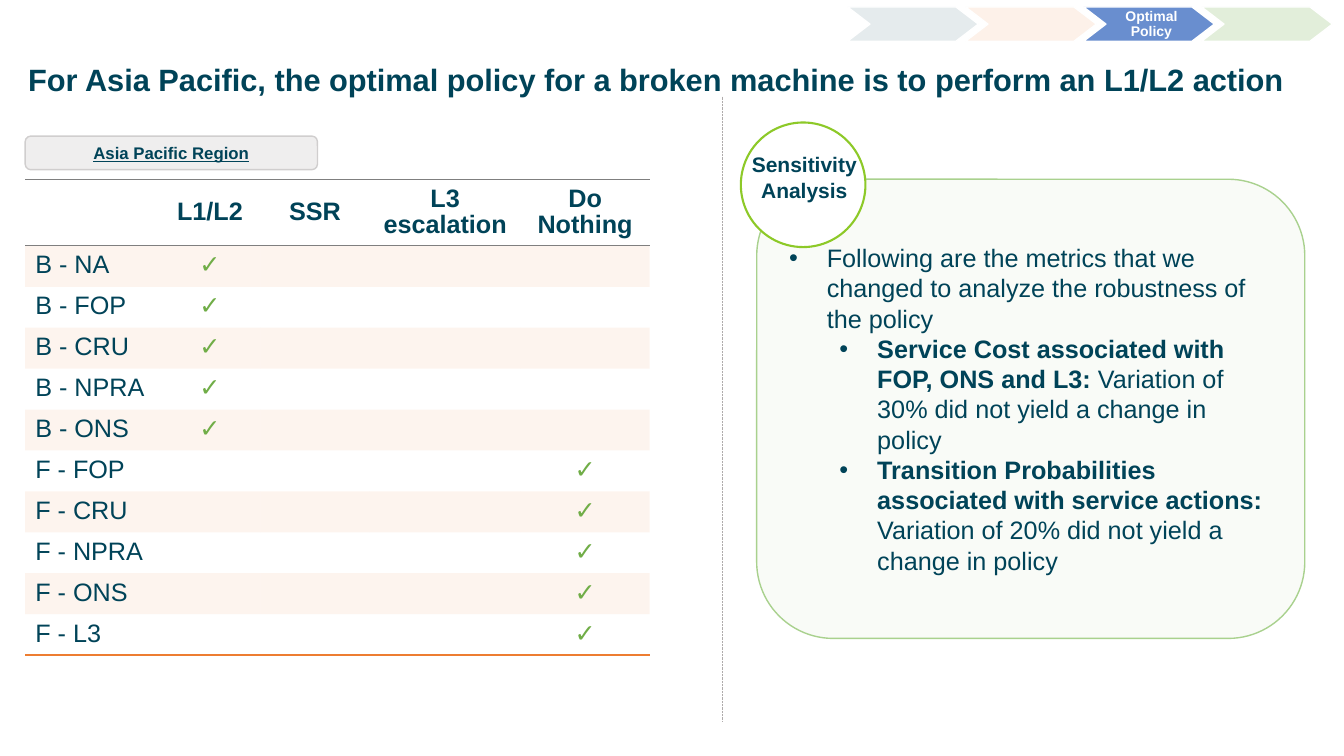
from lxml import etree
from pptx import Presentation
from pptx.dml.color import RGBColor
from pptx.enum.dml import MSO_LINE
from pptx.enum.shapes import MSO_CONNECTOR, MSO_SHAPE
from pptx.enum.text import MSO_ANCHOR, PP_ALIGN
from pptx.oxml import parse_xml
from pptx.oxml.ns import nsdecls, qn
from pptx.util import Pt

LEFT, CENTER = PP_ALIGN.LEFT, PP_ALIGN.CENTER
MIDDLE = MSO_ANCHOR.MIDDLE
ROUNDED, OVAL = MSO_SHAPE.ROUNDED_RECTANGLE, MSO_SHAPE.OVAL
STRAIGHT = MSO_CONNECTOR.STRAIGHT
DOTTED = MSO_LINE.ROUND_DOT
WHITE = RGBColor(0xFF, 0xFF, 0xFF)
NAVY = RGBColor(0x00, 0x43, 0x58)
ORANGE = RGBColor(0xED, 0x7D, 0x31)
BLUE = RGBColor(0x44, 0x72, 0xC4)
GREEN = RGBColor(0x70, 0xAD, 0x47)
LIME = RGBColor(0x8D, 0xC9, 0x28)
PEACH = RGBColor(0xF8, 0xCB, 0xAD)
GRAY = RGBColor(0xAF, 0xAB, 0xAB)
RULE_GRAY = RGBColor(0x7F, 0x7F, 0x7F)
EDGE_GRAY = RGBColor(0xD0, 0xCE, 0xCE)
PALE_GREEN = RGBColor(0xC5, 0xE0, 0xB4)
EDGE_GREEN = RGBColor(0xA9, 0xD1, 0x8E)
PLAIN_TABLE = "{2D5ABB26-0587-4C30-8999-92F81FD0307C}"


def tint(fill, color, percent):
    fill.solid()
    fill.fore_color.rgb = color
    tone = fill._xPr.find(qn("a:solidFill")).find(qn("a:srgbClr"))
    etree.SubElement(tone, qn("a:alpha")).set("val", str(percent * 1000))


def style(para, size, color=NAVY, bold=True, align=CENTER):
    para.alignment = align
    para.font.name = "Arial"
    para.font.size = Pt(size)
    para.font.color.rgb = color
    para.font.bold = bold


deck = Presentation()
deck.slide_width, deck.slide_height = Pt(960), Pt(540)
page = deck.slides.add_slide(deck.slide_layouts[6])
shapes = page.shapes

STEPS = [("", NAVY, 10), ("", ORANGE, 10), ("Optimal Policy", BLUE, 80), ("", GREEN, 20)]
STEP_WIDTH, STEP_HEIGHT, NOTCH, STEP_TOP = 93.5, 24.5, 16, 5
for index, (label, color, percent) in enumerate(STEPS):
    left = 605.4 + index * 84.3
    right, middle, bottom = left + STEP_WIDTH, STEP_TOP + STEP_HEIGHT / 2, STEP_TOP + STEP_HEIGHT
    outline = shapes.build_freeform(Pt(left), Pt(STEP_TOP))
    outline.add_line_segments([(Pt(x), Pt(y)) for x, y in (
        (right - NOTCH, STEP_TOP), (right, middle), (right - NOTCH, bottom),
        (left, bottom), (left + NOTCH, middle))])
    step = outline.convert_to_shape()
    step.shadow.inherit = False
    tint(step.fill, color, percent)
    step.line.color.rgb = WHITE
    step.line.width = Pt(1)
    if label:
        frame = step.text_frame
        frame.word_wrap = True
        frame.vertical_anchor = MIDDLE
        frame.margin_left, frame.margin_right = Pt(21.5), Pt(18)
        frame.margin_top = frame.margin_bottom = Pt(1.5)
        para = frame.paragraphs[0]
        para.text = label
        para.line_spacing = 0.9
        style(para, 10, WHITE)

title = shapes.add_textbox(Pt(13), Pt(28.5), Pt(923), Pt(59))
title.text_frame.word_wrap = True
title.text_frame.vertical_anchor = MIDDLE
para = title.text_frame.paragraphs[0]
para.text = "For Asia Pacific, the optimal policy for a broken machine is to perform an L1/L2 action"
para.line_spacing = 0.9
style(para, 22, align=LEFT)

divider = shapes.add_connector(STRAIGHT, Pt(516), Pt(69), Pt(516), Pt(515.5))
divider.line.color.rgb = GRAY
divider.line.width = Pt(0.5)
divider.line.dash_style = DOTTED
etree.SubElement(divider._element.spPr, qn("a:effectLst"))

HEADERS = ["", "L1/L2", "SSR", "L3 escalation", "Do Nothing"]
STATES = ["B - NA", "B - FOP", "B - CRU", "B - NPRA", "B - ONS",
          "F - FOP", "F - CRU", "F - NPRA", "F - ONS", "F - L3"]
ROWS = [HEADERS]
for state in STATES:
    repaired = state.startswith("B")
    ROWS.append([state, "✓" if repaired else "", "", "", "" if repaired else "✓"])
BORDERS = {0: [("lnT", RULE_GRAY), ("lnB", RULE_GRAY)], len(STATES): [("lnB", ORANGE)]}

table = shapes.add_table(len(ROWS), len(HEADERS), Pt(18), Pt(128.2), Pt(446), Pt(339.5)).table
table.first_row = table.horz_banding = False
table._tbl.tblPr.find(qn("a:tableStyleId")).text = PLAIN_TABLE
for column, width in zip(table.columns, (96, 72, 78, 108, 92)):
    column.width = Pt(width)
for row_index, values in enumerate(ROWS):
    table.rows[row_index].height = Pt(29.25 if row_index else 47)
    for column_index, value in enumerate(values):
        cell = table.cell(row_index, column_index)
        for side, color in BORDERS.get(row_index, []):
            cell._tc.get_or_add_tcPr().append(parse_xml(
                f'<a:{side} {nsdecls("a")} w="12700" cap="flat" cmpd="sng" algn="ctr">'
                f'<a:solidFill><a:srgbClr val="{color}"/></a:solidFill>'
                f'<a:prstDash val="solid"/></a:{side}>'))
        if row_index % 2:
            tint(cell.fill, PEACH, 20)
        else:
            cell.fill.background()
        para = cell.text_frame.paragraphs[0]
        para.text = value
        if row_index == 0:
            cell.vertical_anchor = MIDDLE
            para.line_spacing = 0.93
            style(para, 18)
        elif column_index == 0:
            style(para, 18, bold=False, align=LEFT)
        else:
            style(para, 18, GREEN)

region = shapes.add_shape(ROUNDED, Pt(18), Pt(97.2), Pt(208.8), Pt(24))
tint(region.fill, GRAY, 20)
panel = shapes.add_shape(ROUNDED, Pt(540.5), Pt(128), Pt(391.5), Pt(328))
tint(panel.fill, PALE_GREEN, 10)
badge = shapes.add_shape(OVAL, Pt(529.2), Pt(87.5), Pt(89), Pt(89))
badge.fill.solid()
badge.fill.fore_color.rgb = WHITE
for shape, color, width in ((region, EDGE_GRAY, 1), (panel, EDGE_GREEN, 1), (badge, LIME, 1.5)):
    shape.shadow.inherit = False
    shape.line.color.rgb = color
    shape.line.width = Pt(width)

for shape in (region, panel):
    shape.text_frame.word_wrap = True
    shape.text_frame.vertical_anchor = MIDDLE

para = region.text_frame.paragraphs[0]
para.text = "Asia Pacific Region"
style(para, 12)
para.font.underline = True

FINDINGS = [
    (0, "", "Following are the metrics that we changed to analyze the robustness of the policy"),
    (1, "Service Cost associated with FOP, ONS and L3: ",
     "Variation of 30% did not yield a change in policy"),
    (1, "Transition Probabilities associated with service actions: ",
     "Variation of 20% did not yield a change in policy")]
frame = panel.text_frame
for index, (level, lead, detail) in enumerate(FINDINGS):
    para = frame.add_paragraph() if index else frame.paragraphs[0]
    para.level = level
    properties = para._p.get_or_add_pPr()
    properties.set("marL", str(Pt(27 + 36 * level)))
    properties.set("indent", str(-Pt(27)))
    etree.SubElement(properties, qn("a:buFont")).set("typeface", "Arial")
    etree.SubElement(properties, qn("a:buChar")).set("char", "•")
    style(para, 18, bold=False, align=LEFT)
    if lead:
        span = para.add_run()
        span.text = lead
        span.font.bold = True
    para.add_run().text = detail

caption = shapes.add_textbox(Pt(532), Pt(105), Pt(85), Pt(44))
frame = caption.text_frame
frame.word_wrap = True
frame.margin_left = frame.margin_right = 0
para = frame.paragraphs[0]
para.text = "Sensitivity Analysis"
para.space_after = Pt(2)
style(para, 15)

deck.save("out.pptx")
